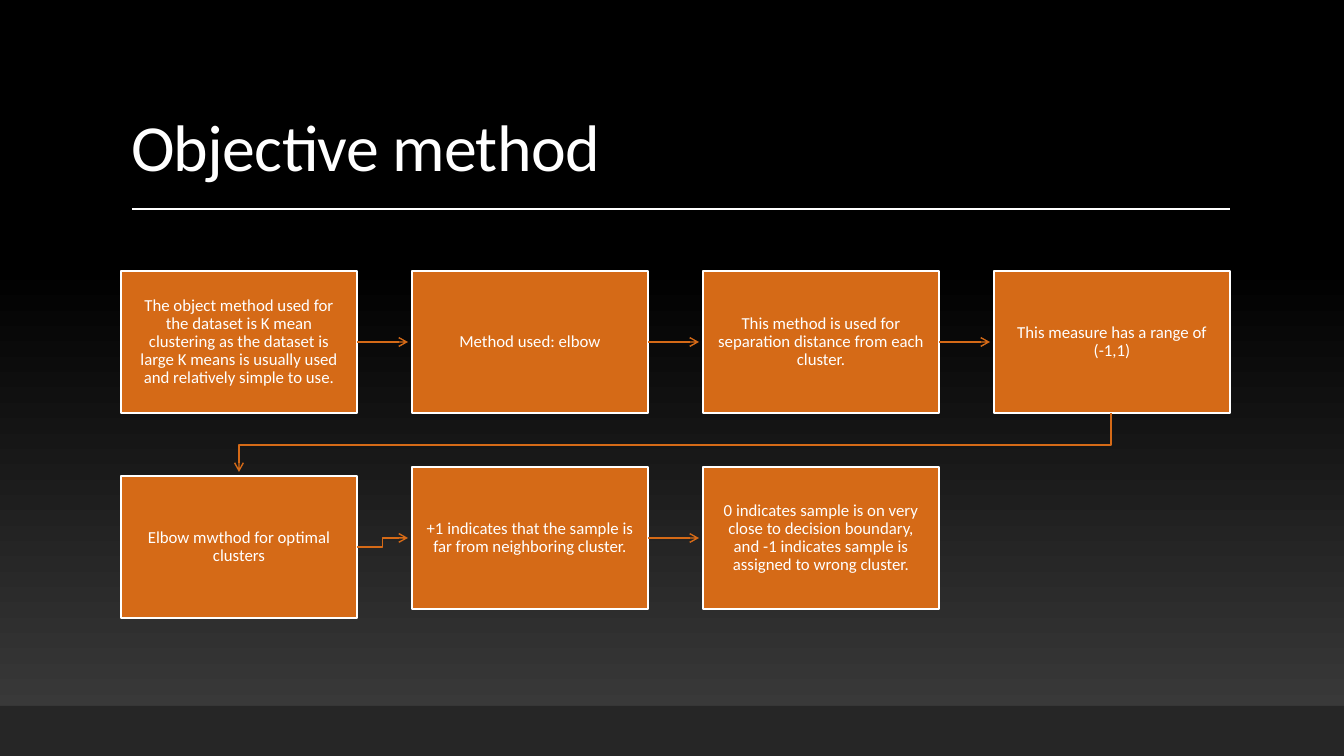
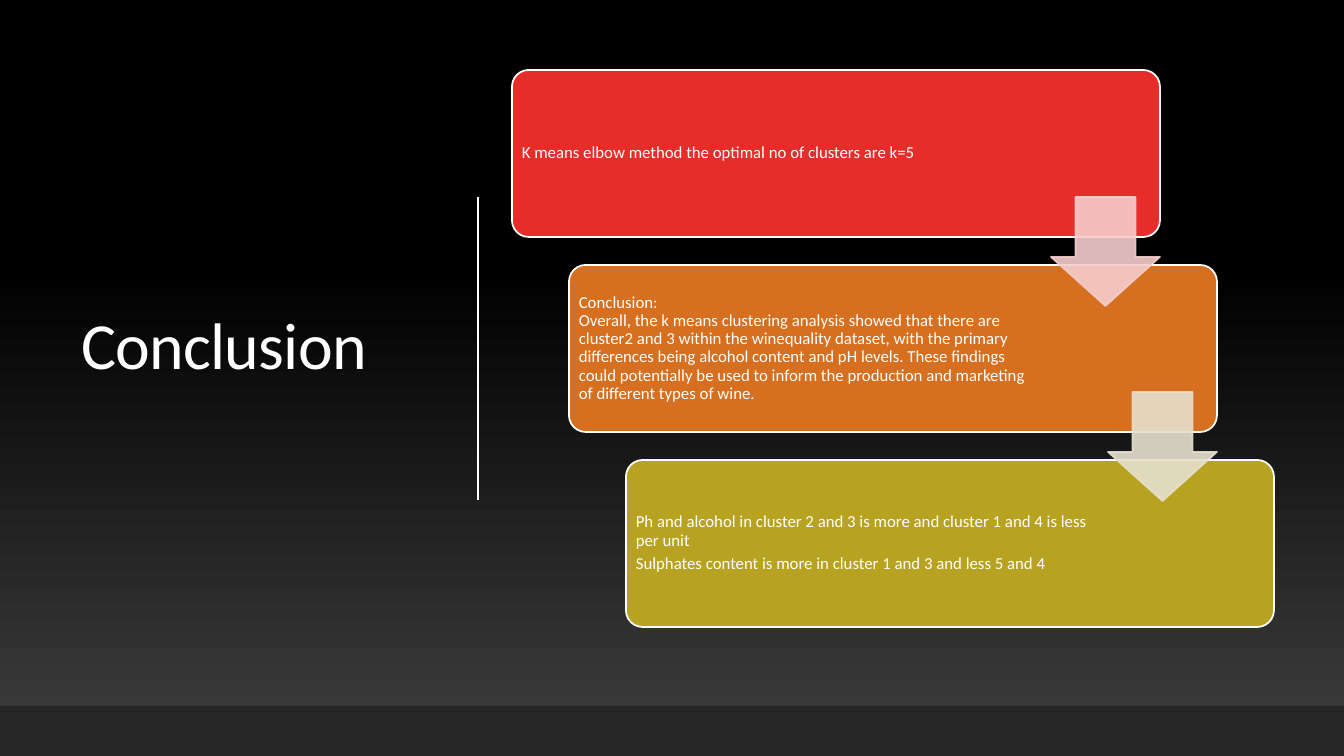
"""Build a two-slide deck on a clustering method and its conclusion."""
from copy import deepcopy
from dataclasses import dataclass

from lxml.etree import SubElement
from pptx import Presentation
from pptx.dml.color import RGBColor
from pptx.enum.shapes import MSO_CONNECTOR, MSO_SHAPE
from pptx.enum.text import MSO_ANCHOR, MSO_AUTO_SIZE, PP_ALIGN
from pptx.oxml.ns import qn
from pptx.util import Pt

PX = 9071
WIDTH, HEIGHT = 1344, 756


@dataclass(frozen=True)
class Theme:
    font: str = "Calibri"
    title_size: int = 47
    body_size: int = 12
    thin: float = 1
    outline: float = 1.25
    white: str = "FFFFFF"
    black: str = "000000"
    glow: str = "3F3F3F"
    band: str = "262626"
    step: str = "D56A17"
    cards: tuple = ("E72D29", "D66F1F", "B8A221")
    arrows: tuple = ("F6CDCD", "E6E0CD")


theme = Theme()


def write(frame, text, size=theme.body_size, align=PP_ALIGN.LEFT,
          anchor=MSO_ANCHOR.MIDDLE, margins=(10, 5, 10, 5), after=4, tracking=0):
    """Fill a text frame, one paragraph per item of text."""
    frame.word_wrap = True
    frame.auto_size = MSO_AUTO_SIZE.NONE
    frame.vertical_anchor = anchor
    (frame.margin_left, frame.margin_top,
     frame.margin_right, frame.margin_bottom) = (margin * PX for margin in margins)
    for index, line in enumerate(text):
        para = frame.add_paragraph() if index else frame.paragraphs[0]
        para.text = line
        para.alignment = align
        para.line_spacing = 0.9
        para.space_after = Pt(after)
        for span in para.runs:
            span.font.name = theme.font
            span.font.size = Pt(size)
            span.font.color.rgb = RGBColor.from_string(theme.white)
            if tracking:
                span.font._element.set("spc", str(tracking))
        for line_break in para._p.findall(qn("a:br")):
            line_break.append(deepcopy(para.runs[0].font._element))


def paint(shape, fill=None, line=None, width=theme.thin, opacity=100, arrow=False):
    """Set fill, line, opacity and arrowhead, and drop the shadow."""
    if fill:
        shape.fill.solid()
        shape.fill.fore_color.rgb = RGBColor.from_string(fill)
    if line:
        shape.line.color.rgb = RGBColor.from_string(line)
        shape.line.width = Pt(width)
    else:
        shape.line.fill.background()
    properties = shape._element.spPr
    if arrow:
        SubElement(properties.find(qn("a:ln")), qn("a:tailEnd"), type="arrow")
    if opacity < 100:
        for color in properties.iter(qn("a:srgbClr")):
            SubElement(color, qn("a:alpha"), val=str(opacity * 1000))
    SubElement(properties, qn("a:effectLst"))


deck = Presentation()
deck.slide_width, deck.slide_height = WIDTH * PX, HEIGHT * PX

backdrop = deck.slide_master.background.fill
backdrop.gradient()
backdrop.gradient_angle = 90
for stop, color, position in zip(backdrop.gradient_stops, (theme.glow, theme.black), (0, 0.65)):
    stop.color.rgb = RGBColor.from_string(color)
    stop.position = position

FRAMES = [
    ("Objective method", (121, 31, 1109, 160), MSO_ANCHOR.BOTTOM, (132, 209, 1230, 209)),
    ("Conclusion", (71, 70, 372, 557), MSO_ANCHOR.MIDDLE, (478, 197, 478, 500)),
]
pages = []
for heading, area, anchor, rule_ends in FRAMES:
    page = deck.slides.add_slide(deck.slide_layouts[5])
    title = page.shapes.title
    title.left, title.top, title.width, title.height = (length * PX for length in area)
    write(title.text_frame, [heading], size=theme.title_size, anchor=anchor, after=0, tracking=-50)
    rule = page.shapes.add_connector(MSO_CONNECTOR.STRAIGHT, *(end * PX for end in rule_ends))
    paint(rule, line=theme.white)
    band = page.shapes.add_shape(MSO_SHAPE.RECTANGLE, 0, 706 * PX, WIDTH * PX, 50 * PX)
    paint(band, fill=theme.band)
    pages.append(page)
method_page, conclusion_page = pages

STEPS = [
    (0, 271, "The object method used for the dataset is K mean clustering as the dataset "
             "is large K means is usually used and relatively simple to use."),
    (1, 271, "Method used: elbow"),
    (2, 271, "This method is used for separation distance from each cluster."),
    (3, 271, "This measure has a range of (-1,1)"),
    (0, 476, "Elbow mwthod for optimal clusters"),
    (1, 467, "+1 indicates that the sample is far from neighboring cluster."),
    (2, 467, "0 indicates sample is on very close to decision boundary, and -1 indicates "
             "sample is assigned to wrong cluster."),
]
STEP_LEFT, STEP_PITCH, STEP_WIDTH, STEP_HEIGHT = 121, 291, 236, 142
previous = None
for column, top, text in STEPS:
    left = STEP_LEFT + column * STEP_PITCH
    middle = top + STEP_HEIGHT // 2
    box = method_page.shapes.add_shape(
        MSO_SHAPE.RECTANGLE, left * PX, top * PX, STEP_WIDTH * PX, STEP_HEIGHT * PX)
    paint(box, fill=theme.step, line=theme.white, width=theme.outline)
    write(box.text_frame, [text], align=PP_ALIGN.CENTER, margins=(11, 12, 11, 12))
    if column:
        kind = MSO_CONNECTOR.STRAIGHT if middle == previous else MSO_CONNECTOR.ELBOW
        start = left - STEP_PITCH + STEP_WIDTH
        link = method_page.shapes.add_connector(
            kind, start * PX, previous * PX, (left - 4) * PX, middle * PX)
        paint(link, line=theme.step, arrow=True)
    previous = middle

builder = method_page.shapes.build_freeform(1111, 413, scale=PX)
builder.add_line_segments([(1111, 445), (239, 445), (239, 472)], close=False)
row_link = builder.convert_to_shape()
row_link.fill.background()
paint(row_link, line=theme.step, arrow=True)

CARDS = [
    ["K means elbow method the optimal no of clusters are k=5"],
    ["Conclusion:\nOverall, the k means clustering analysis showed that there are cluster2 "
     "and 3 within the winequality dataset, with the primary differences being alcohol "
     "content and pH levels. These findings could potentially be used to inform the "
     "production and marketing of different types of wine."],
    ["Ph and alcohol in cluster 2 and 3 is more and cluster 1 and 4 is less per unit",
     "Sulphates content is more in cluster 1 and 3 and less 5 and 4"],
]
SHIFT, DROP = 57, 195
for index, (text, color) in enumerate(zip(CARDS, theme.cards)):
    card = conclusion_page.shapes.add_shape(
        MSO_SHAPE.ROUNDED_RECTANGLE, (512 + index * SHIFT) * PX, (70 + index * DROP) * PX,
        648 * PX, 167 * PX)
    card.adjustments[0] = 0.1
    paint(card, fill=color, line=theme.white, width=theme.outline)
    write(card.text_frame, text, margins=(5, 5, 170, 5))

for index, color in enumerate(theme.arrows):
    arrow = conclusion_page.shapes.add_shape(
        MSO_SHAPE.DOWN_ARROW, (1051 + index * SHIFT) * PX, (197 + index * DROP) * PX,
        109 * PX, 109 * PX)
    arrow.adjustments[0], arrow.adjustments[1] = 0.55, 0.45
    paint(arrow, fill=color, line=color, width=theme.outline, opacity=90)

deck.save("out.pptx")
